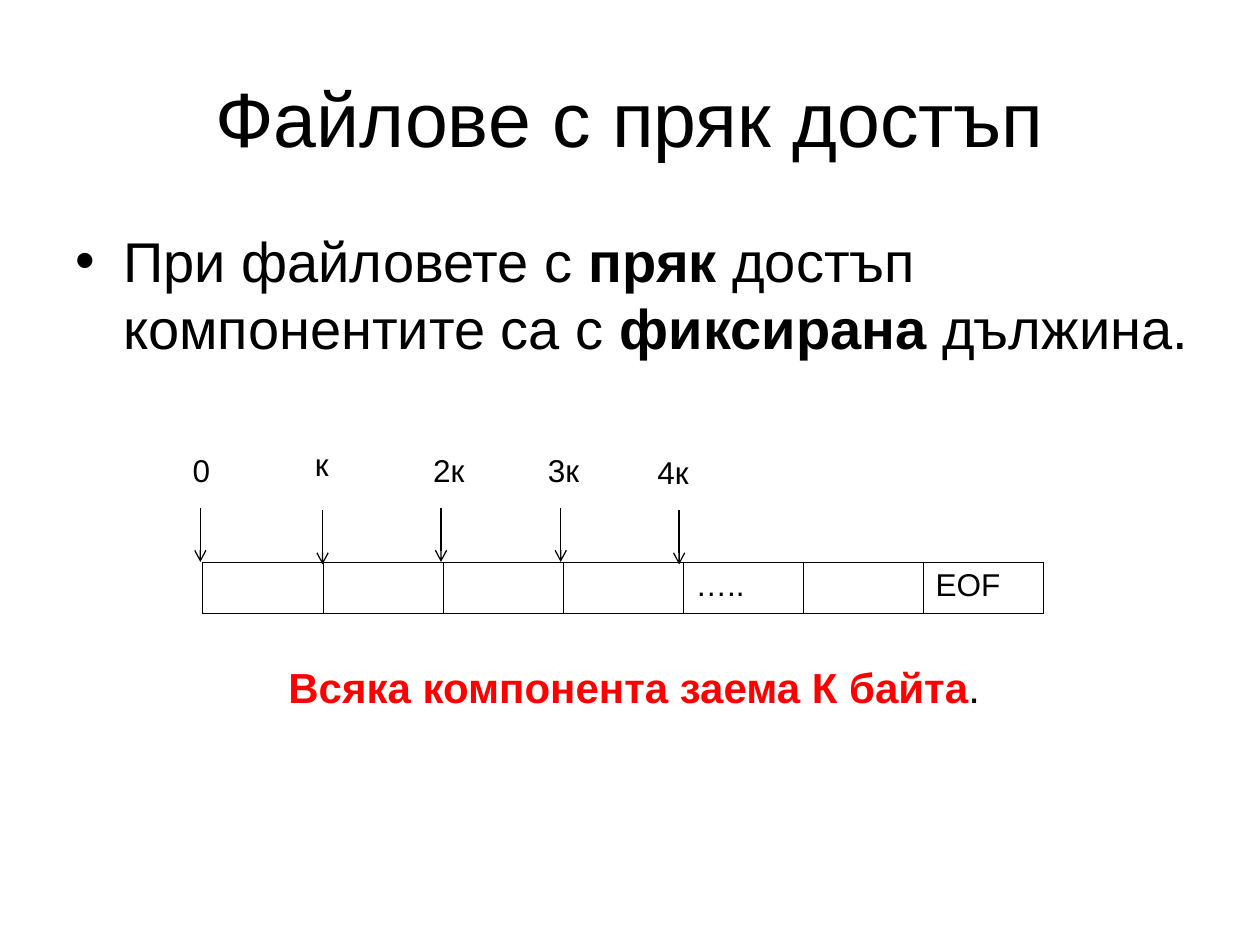
from lxml import etree
from pptx import Presentation
from pptx.dml.color import RGBColor
from pptx.enum.shapes import MSO_CONNECTOR as CONNECTOR
from pptx.enum.text import MSO_ANCHOR as ANCHOR, PP_ALIGN as ALIGN
from pptx.oxml.ns import qn
from pptx.util import Inches, Pt

BLACK, RED = "000000", "FF0000"
COLUMNS, ROWS = 100, 75


def color(hex_text):
    return RGBColor.from_string(hex_text)


def add_xml(parent, tag, **attributes):
    return etree.SubElement(parent, qn(tag), attributes)


def add_solid_fill(parent, hex_text):
    add_xml(add_xml(parent, "a:solidFill"), "a:srgbClr", val=hex_text)


class FileSlide:
    """Style and current slide; lengths are columns and rows of a 100 x 75 grid."""

    def __init__(self, deck):
        self.font = {"name": "Arial", "size": Pt(18), "bold": False}
        self.column = deck.slide_width // COLUMNS
        self.row = deck.slide_height // ROWS
        self.slide = deck.slides.add_slide(deck.slide_layouts[6])

    def place(self, left, top, width, height):
        return [round(left * self.column), round(top * self.row),
                round(width * self.column), round(height * self.row)]

    def add_runs(self, paragraph, runs, **style):
        """Add runs given as (text, format values) pairs."""
        for words, changes in runs:
            run = paragraph.add_run()
            run.text = words
            values = {**self.font, **style, **changes}
            run.font.color.rgb = color(values.pop("color", BLACK))
            for key, value in values.items():
                setattr(run.font, key, value)

    def text(self, box, runs, size=18, bullet=False, wrap=True,
             align=ALIGN.LEFT, anchor=ANCHOR.TOP):
        frame = self.slide.shapes.add_textbox(*self.place(*box)).text_frame
        frame.word_wrap = wrap
        frame.vertical_anchor = anchor
        paragraph = frame.paragraphs[0]
        paragraph.alignment = align
        if bullet:
            properties = paragraph._p.get_or_add_pPr()
            hang = Inches(0.38)
            properties.set("marL", str(hang))
            properties.set("indent", str(-hang))
            add_xml(add_xml(properties, "a:buClr"), "a:srgbClr", val=BLACK)
            add_xml(properties, "a:buFont", typeface="Arial")
            add_xml(properties, "a:buChar", char="•")
        self.add_runs(paragraph, runs, size=Pt(size))

    def arrow(self, x, top, length):
        left, start, _, height = self.place(x, top, 0, length)
        connector = self.slide.shapes.add_connector(
            CONNECTOR.STRAIGHT, left, start, left, start + height)
        connector.line.color.rgb = color(BLACK)
        connector.line.width = Pt(0.75)
        properties = connector._element.spPr
        add_xml(properties.find(qn("a:ln")), "a:tailEnd", type="arrow")
        add_xml(properties, "a:effectLst")

    def record_table(self, box, records):
        table = self.slide.shapes.add_table(1, len(records), *self.place(*box)).table
        table.first_row = table.horz_banding = False
        for cell, label in zip(table.iter_cells(), records):
            properties = cell._tc.get_or_add_tcPr()
            for side in ("a:lnL", "a:lnR", "a:lnT", "a:lnB"):
                add_solid_fill(add_xml(properties, side, w=str(Pt(0.45))), BLACK)
            cell.fill.background()
            if label:
                self.add_runs(cell.text_frame.paragraphs[0], [(label, {})])


def main():
    deck = Presentation()
    deck.slide_width, deck.slide_height = Inches(10), Inches(7.5)
    slide = FileSlide(deck)
    bold = {"bold": True}

    slide.text((5, 3, 90, 12.5), [("Файлове с пряк достъп", {})],
               size=44, align=ALIGN.CENTER, anchor=ANCHOR.MIDDLE)
    slide.text((5, 17.5, 92.3, 16.1),
               [("При файловете с ", {}), ("пряк", bold),
                (" достъп компонентите са с ", {}), ("фиксирана", bold),
                (" дължина.", {})], size=32, bullet=True)

    slide.record_table((16.1, 44.6, 66.7, 4.1),
                       ["", "", "", "", "…..", "", "EOF"])

    # offset label, its left, top and width, then the arrow's x and top
    offsets = [("0", 14.3, 35.3, 3.5, 15.9, 40.3),
               ("к", 24, 34.8, 5.8, 25.6, 40.5),
               ("2к", 33.4, 35.3, 5.4, 35, 40.3),
               ("3к", 42.5, 35.3, 5.4, 44.5, 40.3),
               ("4к", 51.2, 35.5, 5.4, 53.9, 40.5)]
    for label, left, top, width, arrow_x, arrow_top in offsets:
        slide.text((left, top, width, 4), [(label, {})])
        slide.arrow(arrow_x, arrow_top, 4.3)

    slide.text((21.9, 52, 57.1, 5),
               [("Всяка компонента заема К байта", {"bold": True, "color": RED}),
                (".", {})], size=24, wrap=False)
    deck.save("out.pptx")


if __name__ == "__main__":
    main()
